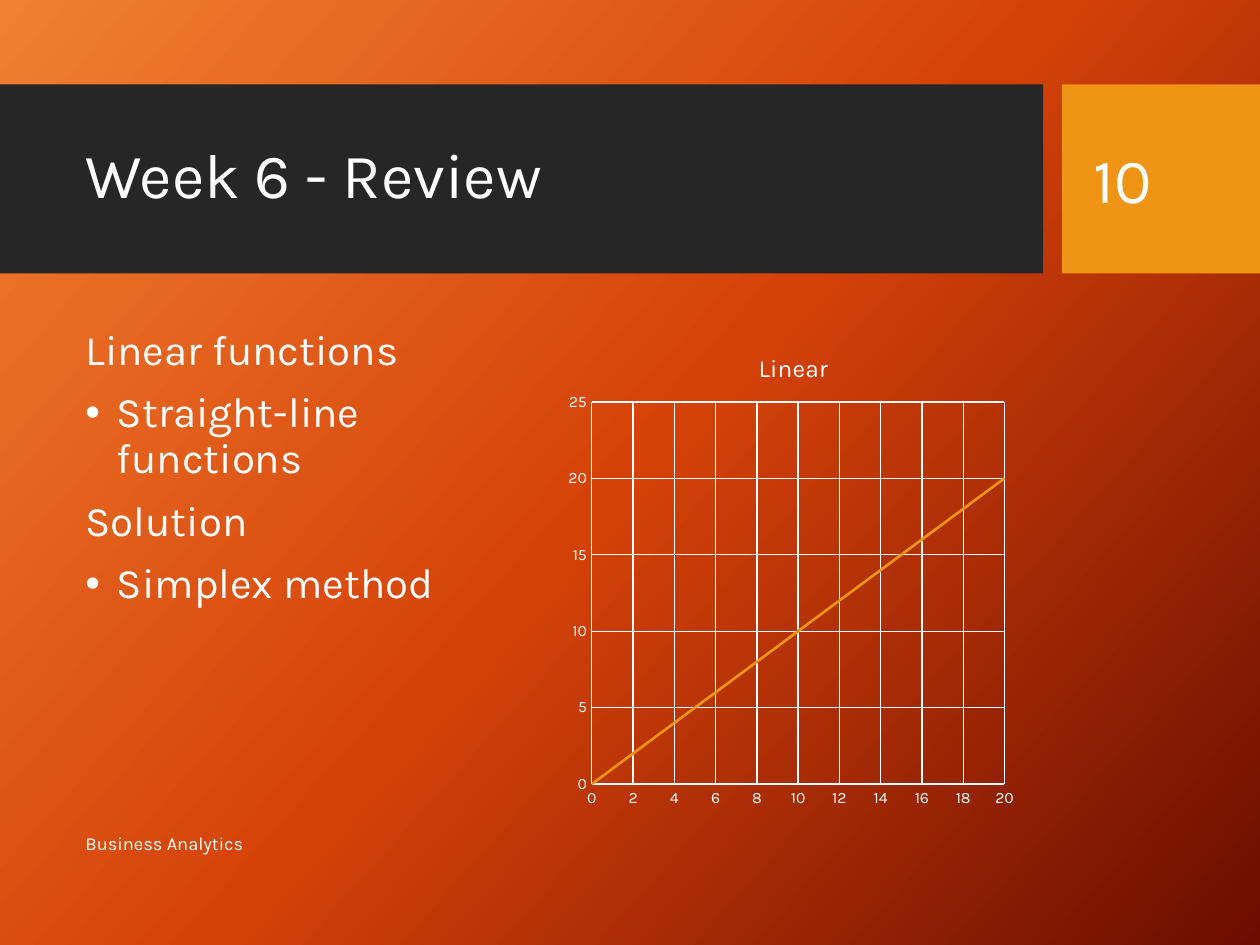
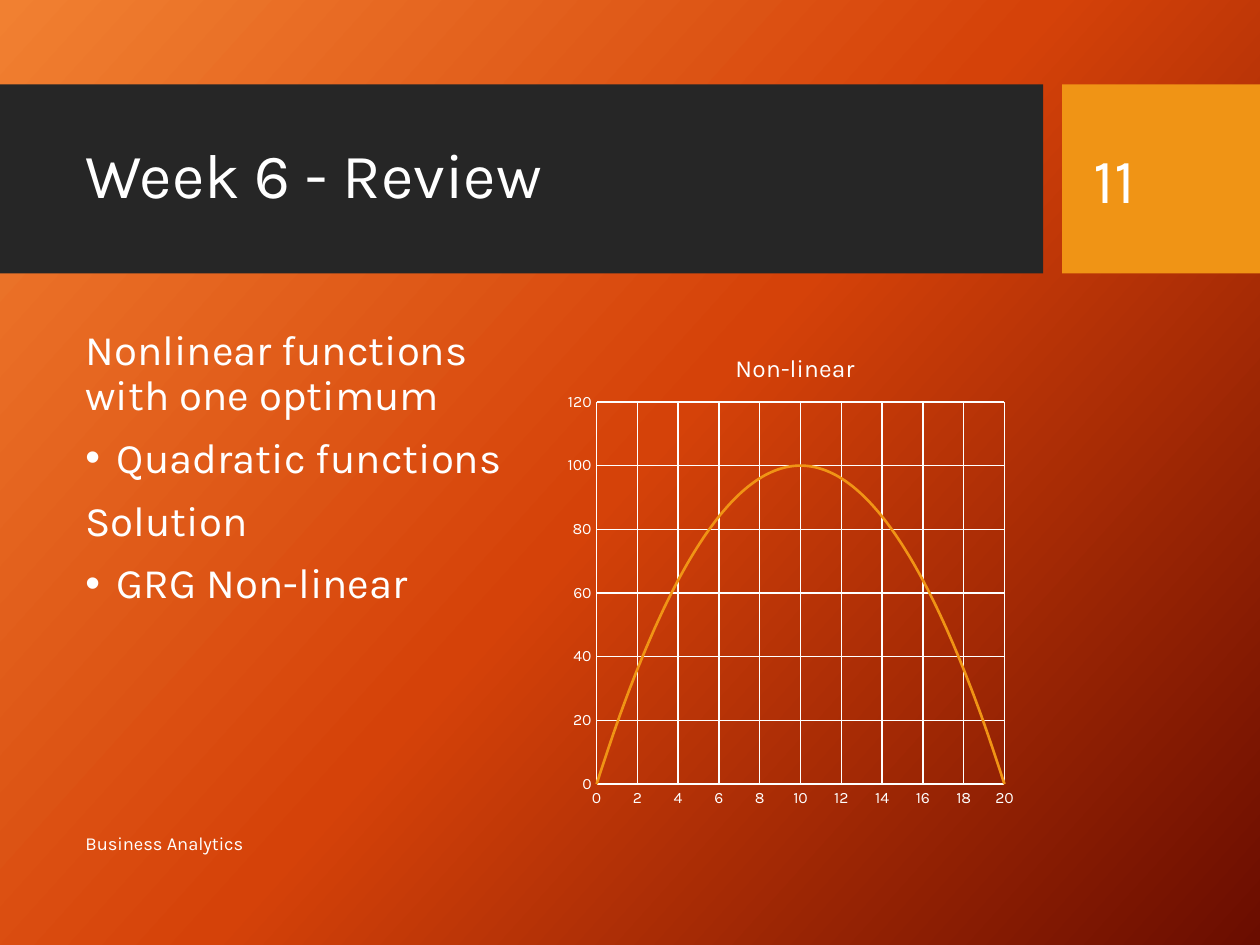
from copy import deepcopy

from lxml.etree import SubElement
from pptx import Presentation
from pptx.chart.data import XyChartData
from pptx.dml.color import RGBColor
from pptx.enum.chart import XL_CHART_TYPE as ChartType, XL_TICK_MARK as TickMark
from pptx.enum.shapes import MSO_SHAPE as Shape
from pptx.enum.text import MSO_ANCHOR as Anchor, MSO_AUTO_SIZE as AutoSize, PP_ALIGN as Align
from pptx.oxml import parse_xml
from pptx.oxml.ns import nsdecls, qn
from pptx.util import Inches, Pt

# Shared look
WHITE = RGBColor(0xFF, 0xFF, 0xFF)
CHARCOAL = RGBColor(0x26, 0x26, 0x26)
AMBER = RGBColor(0xF0, 0x94, 0x15)
BACKGROUND = [RGBColor(0xF1, 0x80, 0x31), RGBColor(0xD5, 0x42, 0x09), RGBColor(0x6A, 0x0D, 0x00)]
FONT = "Karla"
LEFT, BODY_TOP = 0.58, 2.56
BAND_TOP, BAND_HEIGHT = 0.67, 1.5


def set_background(master):
    """Diagonal three-colour gradient behind every slide."""
    fill = master.background.fill
    fill.gradient()
    fill.gradient_angle = 360 - 42
    stop_list = master._element.xpath(".//p:bg//a:gsLst")[0]
    stop_list.insert(1, deepcopy(stop_list[0]))
    for number, (stop, color) in enumerate(zip(fill.gradient_stops, BACKGROUND)):
        stop.position = number / 2
        stop.color.rgb = color


def style_font(font, size):
    font.name = FONT
    font.size = Pt(size)
    font.color.rgb = WHITE


def add_run(para, text, size):
    span = para.add_run()
    span.text = text
    style_font(span.font, size)


def add_band(slide, left, width, color):
    band = slide.shapes.add_shape(Shape.RECTANGLE, Inches(left), Inches(BAND_TOP),
                                  Inches(width), Inches(BAND_HEIGHT))
    band.shadow.inherit = False
    band.fill.solid()
    band.fill.fore_color.rgb = color
    band.line.fill.background()


def add_box(slide, left, top, width, height, anchor=Anchor.MIDDLE):
    box = slide.shapes.add_textbox(Inches(left), Inches(top), Inches(width), Inches(height))
    frame = box.text_frame
    frame.word_wrap = True
    frame.vertical_anchor = anchor
    return frame


def set_title(slide, text):
    title = slide.shapes.title
    title.left, title.top = Inches(LEFT), Inches(0.82)
    title.width, title.height = Inches(7.53), Inches(1.18)
    slide.shapes._spTree.append(title._element)  # in front of the bands
    frame = title.text_frame
    frame.auto_size = AutoSize.NONE
    frame.vertical_anchor = Anchor.MIDDLE
    para = frame.paragraphs[0]
    para.alignment = Align.LEFT
    para.line_spacing = 0.9
    add_run(para, text, 36)


def add_bullet(para):
    properties = para._p.get_or_add_pPr()
    properties.set("marL", str(Inches(0.25)))
    properties.set("indent", str(-Inches(0.25)))
    SubElement(properties, qn("a:buFont")).set("typeface", "Arial")
    SubElement(properties, qn("a:buChar")).set("char", "\u2022")


def add_body(slide, topics):
    """Each topic is a heading with one bulleted line below it."""
    frame = add_box(slide, LEFT, BODY_TOP, 3.67, 3.94, Anchor.TOP)
    lines = [(text, level) for topic in topics for level, text in enumerate(topic)]
    for number, (text, level) in enumerate(lines):
        para = frame.add_paragraph() if number else frame.paragraphs[0]
        para.line_spacing = 0.9
        para.space_before = Pt(10)
        if level:
            add_bullet(para)
        add_run(para, text, 24)


def set_layout(element, index, **places):
    """Place a chart part by fractions of the chart area."""
    for old in element.findall(qn("c:layout")):
        element.remove(old)
    values = {"xMode": "edge", "yMode": "edge", **places}
    if "w" in places:
        values = {"layoutTarget": "inner", **values}
    inner = "".join(f'<c:{name} val="{value}"/>' for name, value in values.items())
    element.insert(index, parse_xml(
        f'<c:layout {nsdecls("c")}><c:manualLayout>{inner}</c:manualLayout></c:layout>'))


def style_axis(axis, maximum, step):
    axis.minimum_scale, axis.maximum_scale, axis.major_unit = 0, maximum, step
    axis.major_tick_mark = axis.minor_tick_mark = TickMark.NONE
    axis.has_major_gridlines = True
    style_font(axis.tick_labels.font, 9)
    for line in (axis.format.line, axis.major_gridlines.format.line):
        line.color.rgb = WHITE
        line.width = Pt(0.75)


def add_curve_chart(slide, name, function, maximum, step, title_left, plot_left):
    data = XyChartData()
    points = data.add_series("Series 1")
    for x in range(21):
        points.add_data_point(x, function(x))
    chart = slide.shapes.add_chart(ChartType.XY_SCATTER_SMOOTH_NO_MARKERS, Inches(4.44),
                                   Inches(BODY_TOP), Inches(3.68), Inches(3.94), data).chart
    style_font(chart.font, 10)
    chart.has_legend = False
    # Title and plot area
    chart.has_title = True
    add_run(chart.chart_title.text_frame.paragraphs[0], name, 14)
    chart.chart_title.text_frame.paragraphs[0].runs[0].font.bold = False
    set_layout(chart.chart_title._element, 1, x=title_left, y=0.05)
    set_layout(chart._chartSpace.chart.plotArea, 0,
               x=plot_left, y=0.16, w=round(0.96 - plot_left, 2), h=0.77)
    # Axes and curve
    style_axis(chart.category_axis, 20, 2)
    style_axis(chart.value_axis, maximum, step)
    chart.plots[0].vary_by_categories = False
    curve = chart.plots[0].series[0]
    curve._element.get_or_add_smooth().val = True
    curve.format.line.color.rgb = AMBER
    curve.format.line.width = Pt(1.5)


def add_review_page(deck, number, topics):
    """Bands, title, footer, page number and body text."""
    page = deck.slides.add_slide(deck.slide_layouts[5])
    add_band(page, 0, 8.28, CHARCOAL)
    add_band(page, 8.43, 1.57, AMBER)
    set_title(page, "Week 6 - Review")
    add_body(page, topics)
    add_run(add_box(page, LEFT, 6.49, 5.29, 0.4).paragraphs[0], "Business Analytics", 10.5)
    add_run(add_box(page, 8.58, 0.82, 1.27, 1.19).paragraphs[0], str(number), 36)
    return page


def main():
    deck = Presentation()
    deck.slide_width, deck.slide_height = Inches(10), Inches(7.5)
    set_background(deck.slide_master)

    page = add_review_page(deck, 10, [("Linear functions", "Straight-line functions"),
                                      ("Solution", "Simplex method")])
    add_curve_chart(page, "Linear", lambda x: x, 25, 5, title_left=0.42, plot_left=0.07)

    page = add_review_page(deck, 11, [
        ("Nonlinear functions with one optimum", "Quadratic functions"),
        ("Solution", "GRG Non-linear")])
    add_curve_chart(page, "Non-linear", lambda x: 100 - (x - 10) ** 2, 120, 20,
                    title_left=0.37, plot_left=0.08)

    deck.save("out.pptx")


main()
